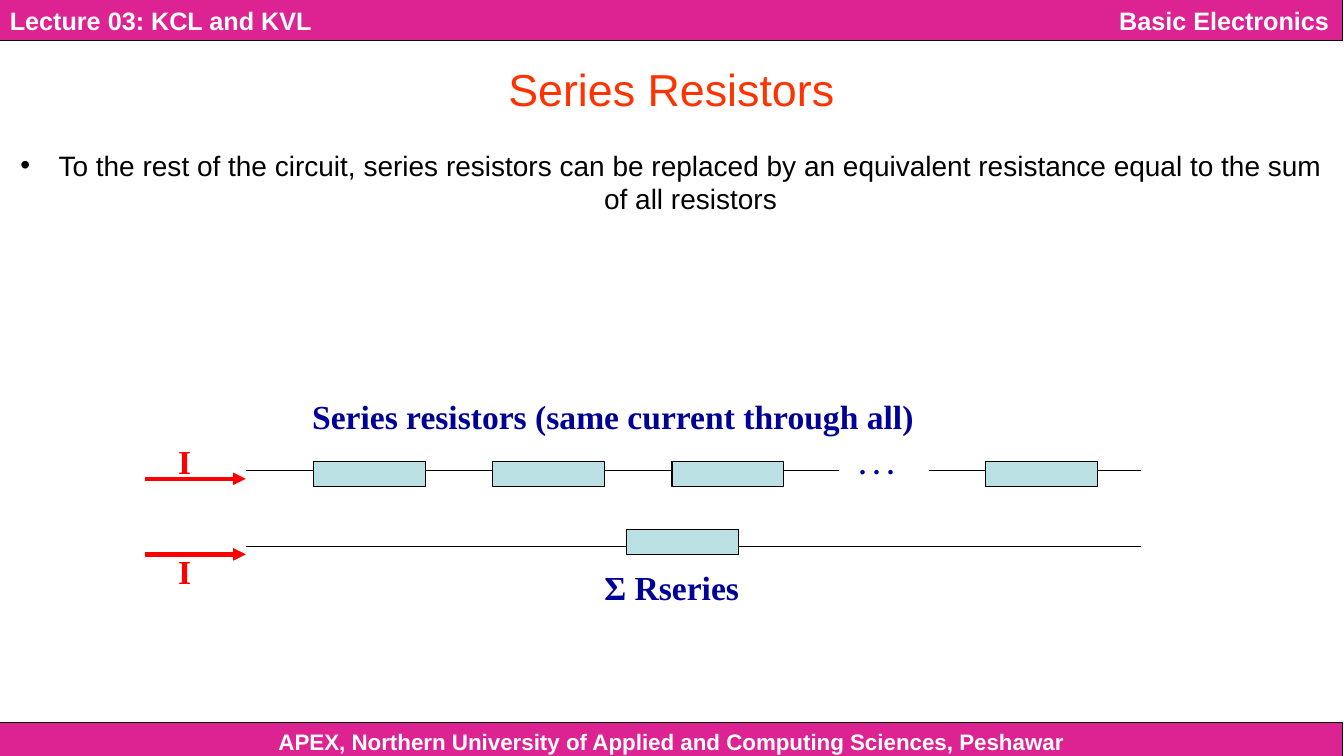
import pptx
import pptx.util
import pptx.dml.color
import pptx.enum.shapes
import pptx.enum.text
import lxml.etree

RGB = pptx.dml.color.RGBColor
PINK, WHITE, BLACK = RGB(0xDD, 0x23, 0x92), RGB(255, 255, 255), RGB(0, 0, 0)
ORANGE, RED = RGB(0xFF, 0x33, 0x00), RGB(0xFF, 0, 0)
NAVY, AQUA = RGB(0, 0, 0x99), RGB(0xBB, 0xE0, 0xE3)
SANS, SERIF = "Arial", "Times New Roman"
ALIGN = pptx.enum.text.PP_ALIGN
ANCHOR = pptx.enum.text.MSO_ANCHOR
PX = 9144  # 100 px to the inch

# Content
WIDE, HIGH = 1334, 750
BAR = 1333
TITLE = "Series Resistors"
COURSE = "Basic Electronics"
BODY = ("To the rest of the circuit, series resistors can be replaced by an "
        "equivalent resistance equal to the sum of all resistors")
BARS = [  # text, top, height, size, align
    ("Lecture 03: KCL and KVL", 0, 40, 18, ALIGN.LEFT),
    ("APEX, Northern University of Applied and Computing Sciences, Peshawar",
     717, 37, 16, ALIGN.CENTER),
]
LABELS = [  # text, box, size, colour
    ("Series resistors (same current through all)", (300, 388, 619, 50), 24, NAVY),
    (". . .", (843, 438, 55, 44), 20, NAVY),
    ("Σ Rseries", (590, 558, 154, 50), 24, NAVY),
    ("I", (167, 433, 33, 50), 24, RED),
    ("I", (167, 542, 33, 50), 24, RED),
]
RES_W, RES_H = 111, 25
RUNS = [  # wire start, wire end, wire y, resistor top, resistor lefts
    (244, 833, 467, 458, [311, 489, 667]),
    (922, 1133, 467, 458, [978]),
    (244, 1133, 542, 525, [622]),
]
ARROWS = [(144, 244, 475), (144, 244, 550)]

deck = pptx.Presentation()
deck.slide_width, deck.slide_height = WIDE * PX, HIGH * PX
slide = deck.slides.add_slide(deck.slide_layouts[5])
shapes = slide.shapes


def write(shape, text, size, color, font=SANS, bold=False, align=ALIGN.LEFT,
          anchor=ANCHOR.TOP, wrap=True):
    frame = shape.text_frame
    frame.word_wrap = wrap
    frame.vertical_anchor = anchor
    para = frame.paragraphs[0]
    para.alignment = align
    run = para.add_run()
    run.text = text
    run.font.size = pptx.util.Pt(size)
    run.font.name, run.font.bold = font, bold
    run.font.color.rgb = color
    return para


def box(x, y, w, h):
    return shapes.add_textbox(x * PX, y * PX, w * PX, h * PX)


def rect(x, y, w, h, fill):
    shape = shapes.add_shape(pptx.enum.shapes.MSO_SHAPE.RECTANGLE,
                             x * PX, y * PX, w * PX, h * PX)
    shape.shadow.inherit = False
    shape.fill.solid()
    shape.fill.fore_color.rgb = fill
    shape.line.color.rgb = BLACK
    shape.line.width = pptx.util.Pt(0.75)
    return shape


def wire(start, end, y, color=BLACK, width=0.75, arrow=False):
    line = shapes.add_connector(pptx.enum.shapes.MSO_CONNECTOR.STRAIGHT,
                                start * PX, y * PX, end * PX, y * PX)
    line.line.color.rgb = color
    line.line.width = pptx.util.Pt(width)
    if arrow:
        lxml.etree.SubElement(line.line._get_or_add_ln(),
                              pptx.oxml.ns.qn("a:tailEnd"), type="triangle")
    lxml.etree.SubElement(line._element.spPr, pptx.oxml.ns.qn("a:effectLst"))


# Header and footer bars
for text, top, high, size, align in BARS:
    write(rect(0, top, BAR, high, PINK), text, size, WHITE, bold=True,
          align=align, anchor=ANCHOR.MIDDLE)
write(box(900, 0, 429, 40), COURSE, 18, WHITE, bold=True,
      align=ALIGN.RIGHT, anchor=ANCHOR.MIDDLE)

# Title
title = shapes.title
title.left, title.top, title.width, title.height = (
    n * PX for n in (0, 42, BAR, 92))
write(title, TITLE, 32, ORANGE, align=ALIGN.CENTER, anchor=ANCHOR.MIDDLE)

# Bulleted statement
para = write(box(0, 142, BAR, 558), BODY, 20, BLACK, align=ALIGN.CENTER)
para.space_before = pptx.util.Pt(5)
props = para._p.get_or_add_pPr()
props.set("marL", str(38 * PX))
props.set("indent", str(-38 * PX))
lxml.etree.SubElement(props, pptx.oxml.ns.qn("a:buFont"), typeface=SANS)
lxml.etree.SubElement(props, pptx.oxml.ns.qn("a:buChar"), char="•")

# Resistors, with wire filling the gaps between them
for start, end, y, top, lefts in RUNS:
    for left in lefts:
        rect(left, top, RES_W, RES_H, AQUA)
        wire(start, left, y)
        start = left + RES_W
    wire(start, end, y)

# Labels and current arrows
for text, place, size, color in LABELS:
    write(box(*place), text, size, color, font=SERIF, bold=True, wrap=False)
for start, end, y in ARROWS:
    wire(start, end, y, RED, 3, arrow=True)

deck.save("out.pptx")
